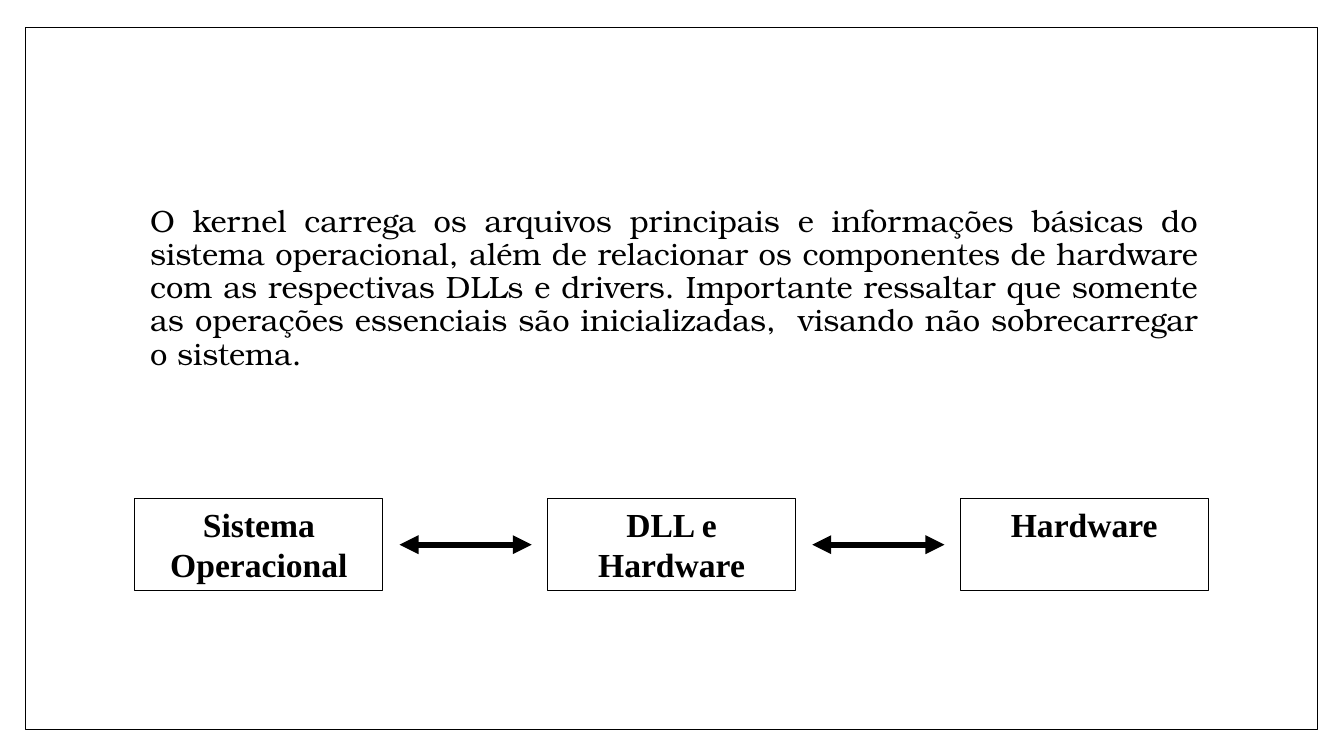
"""Build the slide on how the kernel links the system and the hardware."""
from dataclasses import dataclass

from lxml import etree
from pptx import Presentation
from pptx.dml.color import RGBColor
from pptx.enum.shapes import MSO_CONNECTOR, MSO_SHAPE
from pptx.enum.text import MSO_ANCHOR, MSO_AUTO_SIZE, PP_ALIGN
from pptx.oxml.ns import qn
from pptx.shapes.autoshape import Shape
from pptx.slide import Slide
from pptx.text.text import TextFrame
from pptx.util import Cm, Pt

RECTANGLE = MSO_SHAPE.RECTANGLE
STRAIGHT = MSO_CONNECTOR.STRAIGHT
TOP = MSO_ANCHOR.TOP
NO_AUTOFIT = MSO_AUTO_SIZE.NONE
CENTER = PP_ALIGN.CENTER
JUSTIFY = PP_ALIGN.JUSTIFY

BLACK = "000000"
WHITE = "FFFFFF"
BODY_FONT = "TeX Gyre Bonum"
BOX_FONT = "Times New Roman"

BODY_TEXT = (
    "O kernel carrega os arquivos principais e informações básicas do sistema "
    "operacional, além de relacionar os componentes de hardware com as "
    "respectivas DLLs e drivers. Importante ressaltar que somente as operações "
    "essenciais são inicializadas,  visando não sobrecarregar o sistema."
)
LAYERS = ("Sistema Operacional", "DLL e Hardware", "Hardware")
LAYER_LEFT, LAYER_TOP = 3.4, 12.57
LAYER_WIDTH, LAYER_HEIGHT = 6.25, 2.31
LAYER_PITCH = 10.4
ARROW_GAP, ARROW_LENGTH = 0.42, 3.33


@dataclass(frozen=True)
class Area:
    """A rectangle on the slide, in centimetres."""

    left: float
    top: float
    width: float
    height: float


FRAME = Area(0.64, 0.69, 32.56, 17.7)
BODY = Area(3.4, 5.05, 27.05, 4.93)


def color(value: str) -> RGBColor:
    """Turn a hex string into a colour."""
    return RGBColor.from_string(value)


def write(frame: TextFrame, text: str, font: str, size: float,
          alignment: PP_ALIGN, bold: bool = False) -> None:
    """Put one formatted paragraph into a text frame."""
    frame.text = text
    frame.word_wrap = True
    frame.auto_size = NO_AUTOFIT
    frame.vertical_anchor = TOP
    para = frame.paragraphs[0]
    para.alignment = alignment
    span = para.runs[0]
    span.font.name = font
    span.font.size = Pt(size)
    span.font.bold = bold
    span.font.color.rgb = color(BLACK)


def add_rectangle(page: Slide, area: Area, line_width: float) -> Shape:
    """Add an unfilled rectangle with a black outline."""
    box = page.shapes.add_shape(
        RECTANGLE, Cm(area.left), Cm(area.top), Cm(area.width), Cm(area.height))
    box.shadow.inherit = False
    box.fill.background()
    box.line.color.rgb = color(BLACK)
    box.line.width = Pt(line_width)
    return box


def add_frame(page: Slide) -> None:
    """Add the white page frame behind everything else."""
    frame = add_rectangle(page, FRAME, 1)
    frame.fill.solid()
    frame.fill.fore_color.rgb = color(WHITE)
    page.shapes.element.insert(2, frame.element)


def fill_body(page: Slide) -> None:
    """Place and format the explanatory text."""
    body = page.placeholders[1]
    body.left, body.top = Cm(BODY.left), Cm(BODY.top)
    body.width, body.height = Cm(BODY.width), Cm(BODY.height)
    write(body.text_frame, BODY_TEXT, BODY_FONT, 22, JUSTIFY)
    para = body.text_frame.paragraphs[0]
    para.line_spacing = 0.9
    para.space_before = Pt(14)
    properties = para._p.get_or_add_pPr()
    properties.set("marL", str(Cm(0.13)))
    properties.set("indent", "0")
    etree.SubElement(properties, qn("a:buNone"))


def add_layer(page: Slide, label: str, left: float) -> None:
    """Add one labelled box of the chain."""
    area = Area(left, LAYER_TOP, LAYER_WIDTH, LAYER_HEIGHT)
    box = add_rectangle(page, area, 0.75)
    write(box.text_frame, label, BOX_FONT, 24, CENTER, bold=True)


def add_double_arrow(page: Slide, left: float) -> None:
    """Add a thick two-headed arrow at the middle height of the boxes."""
    middle = Cm(LAYER_TOP + LAYER_HEIGHT / 2)
    arrow = page.shapes.add_connector(
        STRAIGHT, Cm(left), middle, Cm(left + ARROW_LENGTH), middle)
    arrow.line.color.rgb = color(BLACK)
    arrow.line.width = Pt(4.5)
    outline = arrow.line._get_or_add_ln()
    for end in ("a:headEnd", "a:tailEnd"):
        etree.SubElement(outline, qn(end), type="triangle")
    etree.SubElement(arrow.element.spPr, qn("a:effectLst"))


def main() -> None:
    """Build and save the deck."""
    deck = Presentation()
    deck.slide_width, deck.slide_height = Cm(33.87), Cm(19.05)
    page = deck.slides.add_slide(deck.slide_layouts[1])
    title = page.shapes.title.element
    title.getparent().remove(title)
    add_frame(page)
    fill_body(page)
    for index, label in enumerate(LAYERS):
        left = LAYER_LEFT + index * LAYER_PITCH
        add_layer(page, label, left)
        if index < len(LAYERS) - 1:
            add_double_arrow(page, left + LAYER_WIDTH + ARROW_GAP)
    deck.save("out.pptx")


if __name__ == "__main__":
    main()
